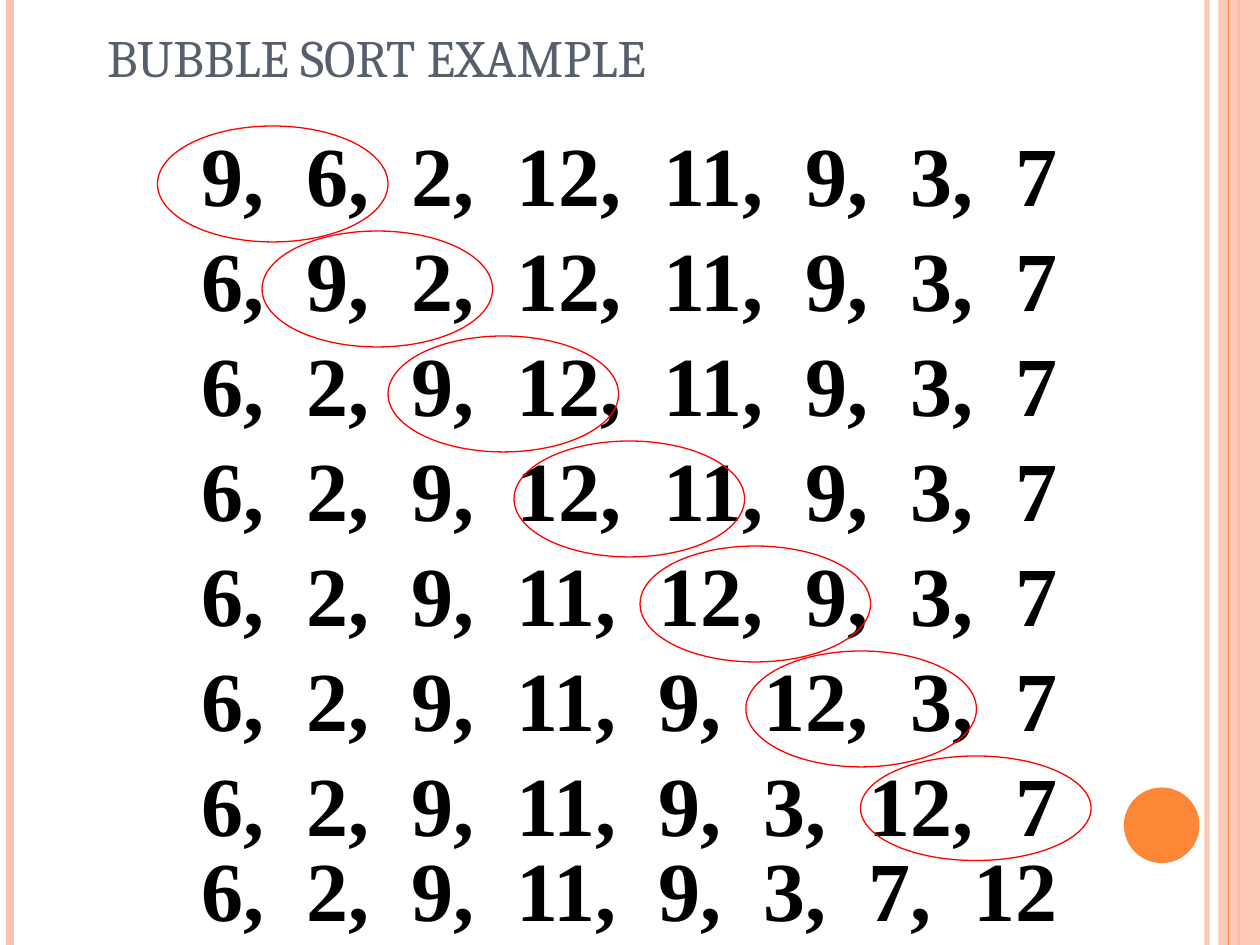
"""Build a slide that traces one pass of bubble sort."""
import pptx
import pptx.util
from pptx.dml.color import RGBColor
from pptx.enum.shapes import MSO_CONNECTOR, MSO_SHAPE
from pptx.enum.text import MSO_ANCHOR, MSO_AUTO_SIZE, PP_ALIGN
from pptx.oxml.ns import qn
from pptx.util import Inches
from lxml import etree

PEACH = RGBColor(0xFE, 0xC3, 0xAE)
ORANGE = RGBColor(0xFE, 0x86, 0x37)
SLATE = RGBColor(0x57, 0x5F, 0x6D)
BLACK = RGBColor(0, 0, 0)
RED = RGBColor(0xFF, 0, 0)


def write(frame, text, font, size, color, bold=False, anchor=MSO_ANCHOR.TOP):
    frame.word_wrap = True
    frame.vertical_anchor = anchor
    para = frame.paragraphs[0]
    para.alignment = PP_ALIGN.LEFT
    run = para.add_run()
    run.text = text
    run.font.name = font
    run.font.size = pptx.util.Pt(size)
    run.font.bold = bold
    run.font.color.rgb = color


def fade(fill, alpha):
    color = fill._xPr.find(qn("a:solidFill"))[0]
    etree.SubElement(color, qn("a:alpha"), val=str(alpha * 1000))


class Page:
    head = "Cambria"
    body = "Times New Roman"

    def __init__(self, deck):
        self.slide = deck.slides.add_slide(deck.slide_layouts[5])
        self.shapes = self.slide.shapes

    def title(self, text):
        box = self.shapes.title
        box.left, box.top = Inches(0.75), Inches(0)
        box.width, box.height = Inches(8.5), Inches(0.75)
        write(box.text_frame, text, self.head, 30, SLATE,
              anchor=MSO_ANCHOR.BOTTOM)
        box.text_frame.auto_size = MSO_AUTO_SIZE.NONE

    def rule(self, x, color, width, alpha=None):
        line = self.shapes.add_connector(
            MSO_CONNECTOR.STRAIGHT, Inches(x), Inches(0), Inches(x), Inches(7.5))
        line.line.color.rgb = color
        line.line.width = pptx.util.Pt(width)
        etree.SubElement(line._element.spPr, qn("a:effectLst"))
        if alpha:
            fade(line.line.fill, alpha)

    def shape(self, kind, x, y, w, h, fill=None, line=None, alpha=None):
        item = self.shapes.add_shape(
            kind, Inches(x), Inches(y), Inches(w), Inches(h))
        item.shadow.inherit = False
        if fill is None:
            item.fill.background()
        else:
            item.fill.solid()
            item.fill.fore_color.rgb = fill
            if alpha:
                fade(item.fill, alpha)
        if line is None:
            item.line.fill.background()
        else:
            item.line.color.rgb = line
            item.line.width = pptx.util.Pt(0.75)

    def row(self, nums, y):
        box = self.shapes.add_textbox(
            Inches(1.5), Inches(y), Inches(7.33), Inches(0.9))
        write(box.text_frame, ",  ".join(map(str, nums)), self.body, 48, BLACK,
              bold=True)
        box.text_frame.auto_size = MSO_AUTO_SIZE.SHAPE_TO_FIT_TEXT


def main():
    deck = pptx.Presentation()
    deck.slide_width, deck.slide_height = Inches(10), Inches(7.5)
    page = Page(deck)

    page.rule(9.58, PEACH, 3, alpha=93)
    page.rule(0.08, PEACH, 4.5)
    page.rule(9.83, ORANGE, 1.5)
    page.shape(MSO_SHAPE.RECTANGLE, 9.67, 0, 0.33, 7.5, fill=PEACH, alpha=87)
    page.rule(9.75, ORANGE, 0.75)
    page.shape(MSO_SHAPE.OVAL, 8.92, 6.25, 0.6, 0.6, fill=ORANGE)
    page.title("BUBBLE SORT EXAMPLE")

    nums = [9, 6, 2, 12, 11, 9, 3, 7]
    step = 5 / 6
    tops = [0.92 + i * step for i in range(6)] + [5.92, 6.6]
    rings = [1.25, 2.08, 3.08, 4.08, 5.08, 5.92, 6.83]
    for i, x in enumerate(rings):
        page.row(nums, tops[i])
        tall = 0.83 if i == len(rings) - 1 else 0.92
        page.shape(MSO_SHAPE.OVAL, x, 1 + i * step, 1.83, tall, line=RED)
        nums[i:i + 2] = sorted(nums[i:i + 2])
    page.row(nums, tops[-1])

    deck.save("out.pptx")


if __name__ == "__main__":
    main()
